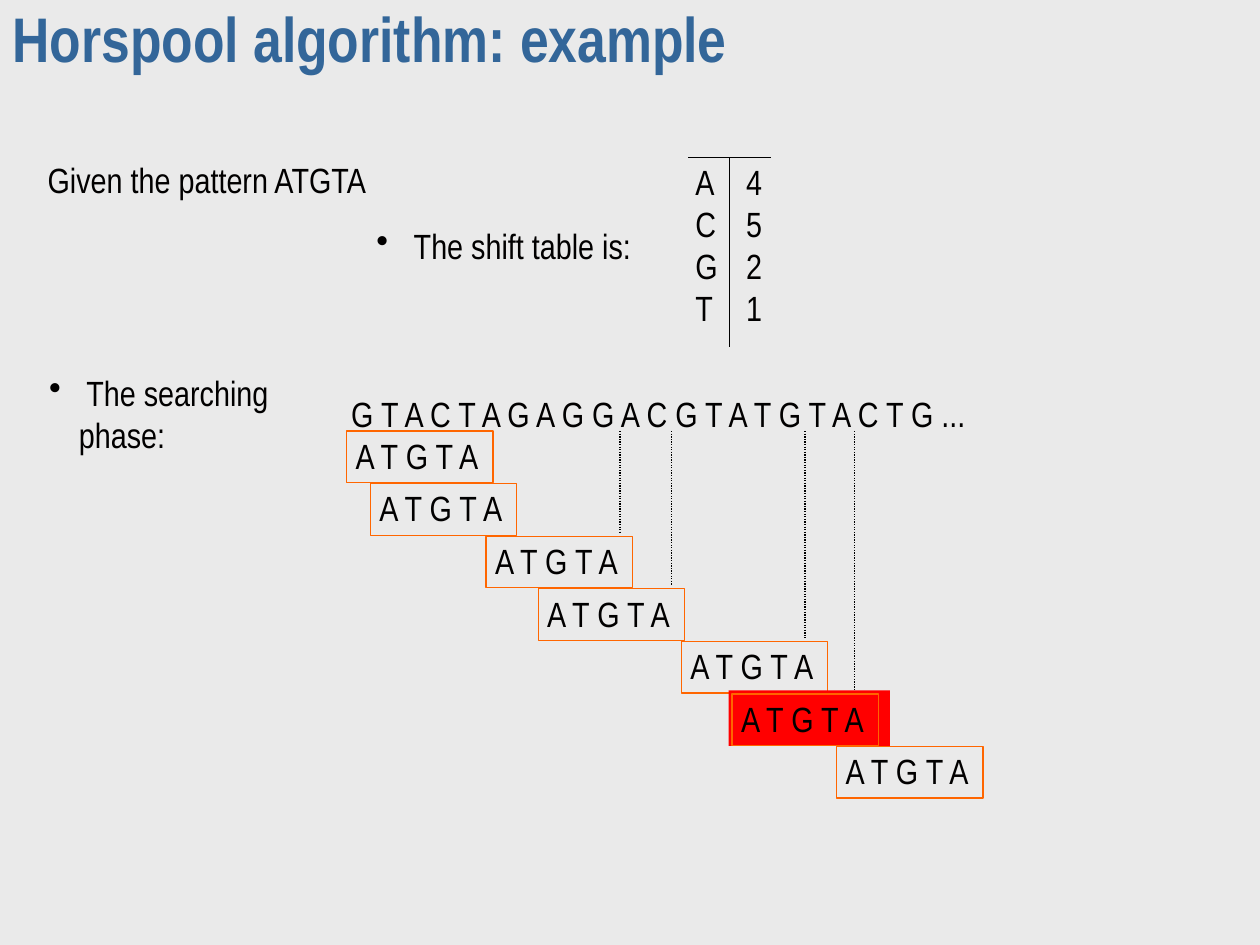
import lxml.etree
import pptx
import pptx.dml.color
import pptx.enum.dml
import pptx.enum.shapes
import pptx.enum.text
import pptx.oxml
import pptx.oxml.ns
import pptx.util

Cm = pptx.util.Cm
ANCHOR = pptx.enum.text.MSO_ANCHOR
DOTTED = pptx.enum.dml.MSO_LINE.ROUND_DOT

THEME = {
    "font": "Arial Narrow",
    "background": "EAEAEA",
    "title": "336699",
    "text": "010000",
    "rule": "000000",
    "frame": "FF6600",
    "match": "FF0000",
    "title_size": 36,
    "text_size": 20,
    "line_width": 0.75,
}

# Content; lengths are in centimetres.
TITLE = "Horspool algorithm: example"
PATTERN = "A T G T A"
LABELS = [  # text, (left, top, width, height), bulleted
    ("Given the pattern ATGTA", (0.71, 3.05, 7.21, 1.12), False),
    (" The shift table is:", (7.34, 4.39, 6.05, 1.12), True),
    (" The searching phase:", (0.74, 7.77, 6.45, 1.12), True),
    ("G T A C T A G A G G A C G T A T G T A C T G ...", (6.83, 7.77, 13.39, 1.12), False),
]
SHIFTS = [("A", 4), ("C", 5), ("G", 2), ("T", 1)]
ATTEMPTS = [  # frame left, x of the guide line, full match
    (6.99, None, False),
    (7.47, None, False),
    (9.8, 12.5, False),
    (10.85, 13.54, False),
    (13.74, 16.23, False),
    (14.76, 17.22, True),
    (16.87, None, False),
]

# Layout
TABLE_LEFT, TABLE_TOP, ROW_HEIGHT = 13.77, 3.33, 0.85
COLUMN_WIDTHS = (0.94, 1.37)
CELL_INSETS = (0.25, 0.33)
RULE_TOP, RULE_BOTTOM = 3.18, 6.99
RULE_LEFT, RULE_RIGHT = 13.87, 15.54
FIRST_TOP, PITCH = 8.69, 1.06
FRAME_SIZE = (2.95, 1.04)
PATTERN_SIZE = (3.25, 1.12)
PATTERN_OFFSET = 0.07
BULLET_INDENT = 0.6
NO_TABLE_STYLE = "{2D5ABB26-0587-4C30-8999-92F81FD0307C}"


def color(name):
    return pptx.dml.color.RGBColor.from_string(THEME[name])


def lengths(*values):
    return [Cm(value) for value in values]


def apply(target, values):
    for name, value in values.items():
        setattr(target, name, value)


def style_font(paragraph, role="text", bold=False):
    apply(paragraph.font, {
        "name": THEME["font"],
        "size": pptx.util.Pt(THEME[role + "_size"]),
        "bold": bold,
    })
    paragraph.font.color.rgb = color(role)


def style_line(line, role):
    line.color.rgb = color(role)
    line.width = pptx.util.Pt(THEME["line_width"])


def add_bullet(paragraph):
    properties = paragraph._p.get_or_add_pPr()
    properties.set("marL", str(Cm(BULLET_INDENT)))
    properties.set("indent", str(-Cm(BULLET_INDENT)))
    bullet = lxml.etree.SubElement(properties, pptx.oxml.ns.qn("a:buChar"))
    bullet.set("char", "•")


def add_label(slide, text, box, bulleted=False):
    shape = slide.shapes.add_textbox(*lengths(*box))
    apply(shape.text_frame, {"word_wrap": True, "vertical_anchor": ANCHOR.MIDDLE})
    paragraph = shape.text_frame.paragraphs[0]
    paragraph.text = text
    if bulleted:
        add_bullet(paragraph)
    style_font(paragraph)
    return shape


def add_rule(slide, *ends):
    rule = slide.shapes.add_connector(
        pptx.enum.shapes.MSO_CONNECTOR.STRAIGHT, *lengths(*ends))
    style_line(rule.line, "rule")
    lxml.etree.SubElement(rule._element.spPr, pptx.oxml.ns.qn("a:effectLst"))
    return rule


def add_title(slide):
    title = slide.shapes.title
    apply(title, dict(zip(("left", "top", "width", "height"), lengths(0, 0, 25.4, 1.9))))
    frame = title.text_frame
    frame.text = TITLE
    apply(frame, {
        "vertical_anchor": ANCHOR.MIDDLE,
        "auto_size": pptx.enum.text.MSO_AUTO_SIZE.NONE,
    })
    paragraph = frame.paragraphs[0]
    apply(paragraph, {"alignment": pptx.enum.text.PP_ALIGN.LEFT, "line_spacing": 0.7})
    style_font(paragraph, "title", bold=True)


def add_shift_table(slide):
    table = slide.shapes.add_table(
        len(SHIFTS), 2,
        *lengths(TABLE_LEFT, TABLE_TOP, sum(COLUMN_WIDTHS), ROW_HEIGHT * len(SHIFTS))).table
    apply(table, {"first_row": False, "horz_banding": False})
    table._tbl.tblPr.find(pptx.oxml.ns.qn("a:tableStyleId")).text = NO_TABLE_STYLE
    for column, width in zip(table.columns, COLUMN_WIDTHS):
        column.width = Cm(width)
    for row, values in zip(table.rows, SHIFTS):
        for cell, value, inset in zip(row.cells, values, CELL_INSETS):
            cell.text = str(value)
            cell.fill.background()
            apply(cell, {
                "margin_left": Cm(inset), "margin_right": 0,
                "margin_top": 0, "margin_bottom": 0,
                "vertical_anchor": ANCHOR.MIDDLE,
            })
            style_font(cell.text_frame.paragraphs[0])
    divider = TABLE_LEFT + COLUMN_WIDTHS[0]
    add_rule(slide, divider, RULE_TOP, divider, RULE_BOTTOM)
    add_rule(slide, RULE_LEFT, RULE_TOP, RULE_RIGHT, RULE_TOP)


def add_attempt(slide, index, left, guide, matched):
    """Place the pattern under the text, one step lower for each attempt."""
    top = FIRST_TOP + index * PITCH
    label = add_label(
        slide, PATTERN, (left - PATTERN_OFFSET, top - PATTERN_OFFSET, *PATTERN_SIZE))
    if matched:
        label.fill.solid()
        label.fill.fore_color.rgb = color("match")
    frame = slide.shapes.add_shape(
        pptx.enum.shapes.MSO_SHAPE.RECTANGLE, *lengths(left, top, *FRAME_SIZE))
    frame.shadow.inherit = False
    frame.fill.background()
    style_line(frame.line, "frame")
    if guide is not None:
        add_rule(slide, guide, FIRST_TOP, guide, top - PATTERN_OFFSET).line.dash_style = DOTTED


def main():
    presentation = pptx.Presentation()
    apply(presentation, {"slide_width": Cm(25.4), "slide_height": Cm(19.05)})
    slide = presentation.slides.add_slide(presentation.slide_layouts[5])
    slide.background.fill.solid()
    slide.background.fill.fore_color.rgb = color("background")
    add_title(slide)
    for label in LABELS:
        add_label(slide, *label)
    add_shift_table(slide)
    for index, attempt in enumerate(ATTEMPTS):
        add_attempt(slide, index, *attempt)
    presentation.save("out.pptx")


if __name__ == "__main__":
    main()
